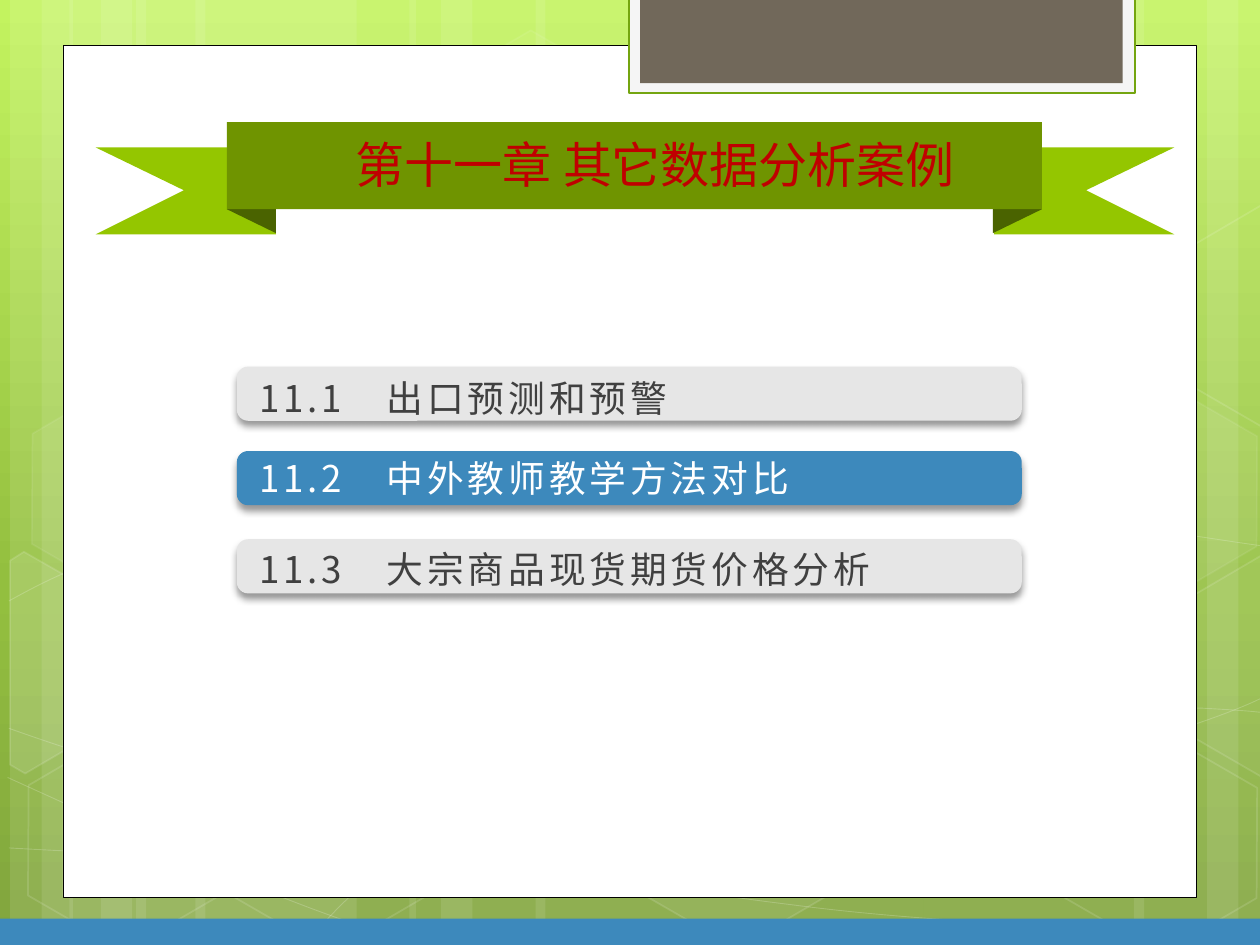
from copy import deepcopy
from dataclasses import dataclass

from lxml import etree
from pptx import Presentation
from pptx.dml.color import RGBColor
from pptx.enum import shapes, text
from pptx.oxml import ns
from pptx.util import Inches, Pt


@dataclass(frozen=True)
class Theme:
    sky: tuple = ((0, "C3F35F"), (0.62, "93BF3F"), (1, "81A53E"))
    white: str = "FFFFFF"
    black: str = "000000"
    tab: str = "71685A"
    tab_rim: str = "F5F5F5"
    tab_edge: str = "74A510"
    ribbon: str = "6F9400"
    ribbon_tail: str = "94C600"
    ribbon_fold: str = "4A6300"
    active: str = "3D89BC"
    idle: str = "E6E6E6"
    idle_text: str = "404040"
    title: str = "C00000"
    title_size: int = 28
    item_size: int = 21
    title_font: str = "League Spartan"
    item_font: str = "Noto Sans CJK SC"


THEME = Theme()
KIND = shapes.MSO_SHAPE


def paint(shape, fill=None, fill_alpha=100, line=None, width=1, line_alpha=100):
    """Give fill and outline, with opacity in percent; None means none."""
    shape.shadow.inherit = False
    for part, color, alpha in ((shape.fill, fill, fill_alpha), (shape.line.fill, line, line_alpha)):
        if color is None:
            part.background()
            continue
        part.solid()
        part.fore_color.rgb = RGBColor.from_string(color)
        if alpha < 100:
            owner = shape._element.spPr if part is shape.fill else shape.line._ln
            rgb = owner.find(ns.qn("a:solidFill")).find(ns.qn("a:srgbClr"))
            etree.SubElement(rgb, ns.qn("a:alpha"), val=str(alpha * 1000))
    if line:
        shape.line.width = Pt(width)


def write(box, wording, font, size, color, spacing=0):
    frame = box.text_frame
    frame.word_wrap = True
    frame.auto_size = text.MSO_AUTO_SIZE.NONE
    frame.vertical_anchor = text.MSO_ANCHOR.TOP
    paragraph = frame.paragraphs[0]
    paragraph.alignment = text.PP_ALIGN.LEFT
    run = paragraph.add_run()
    run.text = wording
    run.font.name = font
    run.font.size = Pt(size)
    run.font.color.rgb = RGBColor.from_string(color)
    properties = run._r.get_or_add_rPr()
    properties.set("spc", str(round(spacing * 100)))
    etree.SubElement(properties, ns.qn("a:ea"), typeface=font)


deck = Presentation()
deck.slide_width, deck.slide_height = Inches(10), Inches(7.5)
slide = deck.slides.add_slide(deck.slide_layouts[5])
parts = slide.shapes
title = parts.title

# Background gradient
sky = slide.background.fill
sky.gradient()
sky.gradient_angle = 270
stop_list = sky.gradient_stops[0]._gs.getparent()
stop_list.append(deepcopy(stop_list[-1]))
for stop, (position, color) in zip(sky.gradient_stops, THEME.sky):
    stop.position = position
    stop.color.rgb = RGBColor.from_string(color)

# Light vertical stripes
for left, width in (
    (1.08, 1.75), (0.08, 0.5), (0.33, 0.83), (1.55, 1.75), (0.55, 0.5), (0.8, 0.83),
    (7.33, 1.75), (9.58, 0.5), (9, 0.83), (4.25, 3.08), (3.25, 0.5), (3.5, 0.83),
):
    stripe = parts.add_shape(KIND.RECTANGLE, Inches(left), 0, Inches(width), deck.slide_height)
    paint(stripe, THEME.white, fill_alpha=10)

# Thin waves: a start point, then three Bezier points for each segment
waves = (
    ((0.07, 6.73), (0.61, 6.76), (1.15, 6.79), (1.9, 6.78), (2.65, 6.77), (3.58, 6.75),
     (4.58, 6.65), (5.58, 6.55), (7, 6.36), (7.92, 6.17), (8.83, 5.98), (9.77, 5.68), (10.07, 5.51)),
    ((0.07, 4.77), (0.36, 4.61), (0.65, 4.46), (1.21, 4.31), (1.78, 4.16), (2.59, 3.94),
     (3.47, 3.87), (4.36, 3.8), (5.44, 3.79), (6.54, 3.87), (7.64, 3.95), (9.47, 4.26), (10.07, 4.34)),
    ((0.06, 6.17), (1.27, 6.72), (2.47, 7.27), (3.34, 7.49)),
    ((0.07, 5.78), (0.38, 5.89), (0.7, 6), (1.28, 6.16), (1.86, 6.31), (2.73, 6.56),
     (3.57, 6.73), (4.4, 6.9), (5.45, 7.08), (6.28, 7.18), (7.11, 7.29), (8, 7.33),
     (8.53, 7.36), (9.05, 7.4), (9.19, 7.38), (9.45, 7.38), (9.71, 7.37), (9.89, 7.35), (10.07, 7.34)),
    ((2.42, 7.49), (2.6, 7.29), (2.78, 7.09), (3.02, 6.91), (3.26, 6.73), (3.6, 6.53),
     (3.88, 6.39), (4.16, 6.25), (4.33, 6.19), (4.7, 6.09), (5.06, 5.99), (5.73, 5.85),
     (6.08, 5.78), (6.44, 5.71), (6.49, 5.71), (6.8, 5.69), (7.11, 5.66), (7.6, 5.63),
     (7.94, 5.62), (8.29, 5.61), (8.86, 5.62), (8.86, 5.62), (9.08, 5.62), (9.31, 5.62),
     (9.53, 5.62), (9.71, 5.63), (9.88, 5.64), (9.97, 5.65), (10.06, 5.66), (10.03, 5.65), (10.06, 5.66)),
)
for wave in waves:
    points = [(Inches(x), Inches(y)) for x, y in wave]
    outline = parts.build_freeform(*points[0])
    outline.add_line_segments(points[1:], close=False)
    ripple = outline.convert_to_shape()
    steps = list(ripple._element.iter(ns.qn("a:lnTo")))
    for first in range(0, len(steps), 3):
        curve = etree.SubElement(steps[first].getparent(), ns.qn("a:cubicBezTo"))
        for step in steps[first:first + 3]:
            curve.append(step[0])
            step.getparent().remove(step)
    paint(ripple, line=THEME.white, width=0.5, line_alpha=20)

# Faint hexagons: left, top, fill opacity, outline opacity
for left, top, fill_alpha, line_alpha in (
    (3.34, 0.36, 4, 8), (4.97, 5.89, 6, 12), (0.11, 5.91, 0, 12), (0.14, 3.12, 7, 8),
    (1.74, 5.92, 0, 12), (7.53, 4.53, 10, 12), (8.34, 5.93, 0, 12), (8.34, 3.14, 7, 8),
):
    hexagon = parts.add_shape(KIND.HEXAGON, Inches(left), Inches(top), Inches(1.75), Inches(1.52))
    hexagon.adjustments[0] = 0.285
    hexagon.rotation = 30
    paint(hexagon, THEME.white if fill_alpha else None, fill_alpha, THEME.white, 1, line_alpha)

# Hexagons cut by the slide edge
cut_right = ((9.26, 2.07), (10.01, 1.63), (10.1, 1.68), (10.09, 3.35), (10.02, 3.39), (9.26, 2.95))
cut_left = ((0.08, 4.45), (0.19, 4.38), (0.96, 4.82), (0.95, 5.7), (0.2, 6.14), (0.08, 6.07))
cut_lower = [(x, y + 2.78) for x, y in cut_right]
for corners, fill, alpha in ((cut_left, THEME.white, 10), (cut_lower, THEME.white, 4), (cut_right, None, 0)):
    points = [(Inches(x), Inches(y)) for x, y in corners]
    outline = parts.build_freeform(*points[0])
    outline.add_line_segments(points[1:])
    paint(outline.convert_to_shape(), fill, alpha, THEME.white, 1, 12)

# Page panel and top tab
for left, top, width, height, fill, line, weight in (
    (0.5, 0.36, 9, 6.76, THEME.white, THEME.black, 0.5),
    (4.99, -0.02, 4.02, 0.76, THEME.tab_rim, THEME.tab_edge, 1.25),
    (5.08, -0.02, 3.83, 0.68, THEME.tab, None, 0),
):
    panel = parts.add_shape(KIND.RECTANGLE, Inches(left), Inches(top), Inches(width), Inches(height))
    paint(panel, fill, line=line, width=weight)

# Everything so far is backdrop: move it to the slide master, behind its placeholders
master_tree = deck.slide_master.shapes._spTree
backdrop = [part for part in parts if not part.is_placeholder]
for order, part in enumerate(backdrop):
    part._element.nvSpPr.cNvPr.set("id", str(100 + order))
    master_tree.insert(2 + order, part._element)

strip = parts.add_shape(KIND.RECTANGLE, 0, Inches(7.29), Inches(10), Inches(0.21))
paint(strip, THEME.active)

# Section list: bar top, label top, wording, whether it is the current section
for bar_top, label_top, label_width, wording, current in (
    (3.58, 3.57, 4.9, "11.2　中外教师教学方法对比", True),
    (2.91, 2.93, 3.9, "11.1　出口预测和预警", False),
    (4.28, 4.29, 5.5, "11.3　大宗商品现货期货价格分析", False),
):
    bar = parts.add_shape(KIND.ROUNDED_RECTANGLE, Inches(1.88), Inches(bar_top), Inches(6.23), Inches(0.43))
    bar.adjustments[0] = 0.207
    paint(bar, THEME.active if current else THEME.idle)
    effects = bar._element.spPr.find(ns.qn("a:effectLst"))
    shadow = etree.SubElement(effects, ns.qn("a:outerShdw"), blurRad=str(Pt(4)), dist=str(Pt(3)),
                              dir=str(90 * 60000), algn="t", rotWithShape="0")
    shade = etree.SubElement(shadow, ns.qn("a:srgbClr"), val=THEME.black)
    etree.SubElement(shade, ns.qn("a:alpha"), val="40000")
    label = parts.add_textbox(Inches(1.96), Inches(label_top), Inches(label_width), Inches(0.45))
    write(label, wording, THEME.item_font, THEME.item_size,
          THEME.white if current else THEME.idle_text, spacing=2.2)

# Title ribbon: both ends mirror each other
tail = ((0.76, 1.17), (2.19, 1.17), (2.19, 1.86), (0.76, 1.86), (1.46, 1.51))
for mirrored, fold_left, turn in ((False, 1.9, 90), (True, 7.98, 270)):
    points = [(Inches(10.08 - x if mirrored else x), Inches(y)) for x, y in tail]
    outline = parts.build_freeform(*points[0])
    outline.add_line_segments(points[1:])
    paint(outline.convert_to_shape(), THEME.ribbon_tail)
    fold = parts.add_shape(KIND.RIGHT_TRIANGLE, Inches(fold_left), Inches(1.56), Inches(0.19), Inches(0.39))
    fold.rotation = turn
    fold._element.spPr.xfrm.set("flipV", "1")
    if mirrored:
        fold._element.spPr.xfrm.set("flipH", "1")
    paint(fold, THEME.ribbon_fold)
ribbon = parts.add_shape(KIND.RECTANGLE, Inches(1.8), Inches(0.97), Inches(6.47), Inches(0.69))
paint(ribbon, THEME.ribbon)

title.left, title.top, title.width, title.height = Inches(2.72), Inches(1.02), Inches(5.02), Inches(0.57)
write(title, "第十一章 其它数据分析案例", THEME.title_font, THEME.title_size, THEME.title)
parts._spTree.append(title._element)  # bring in front of the ribbon

deck.save("out.pptx")
